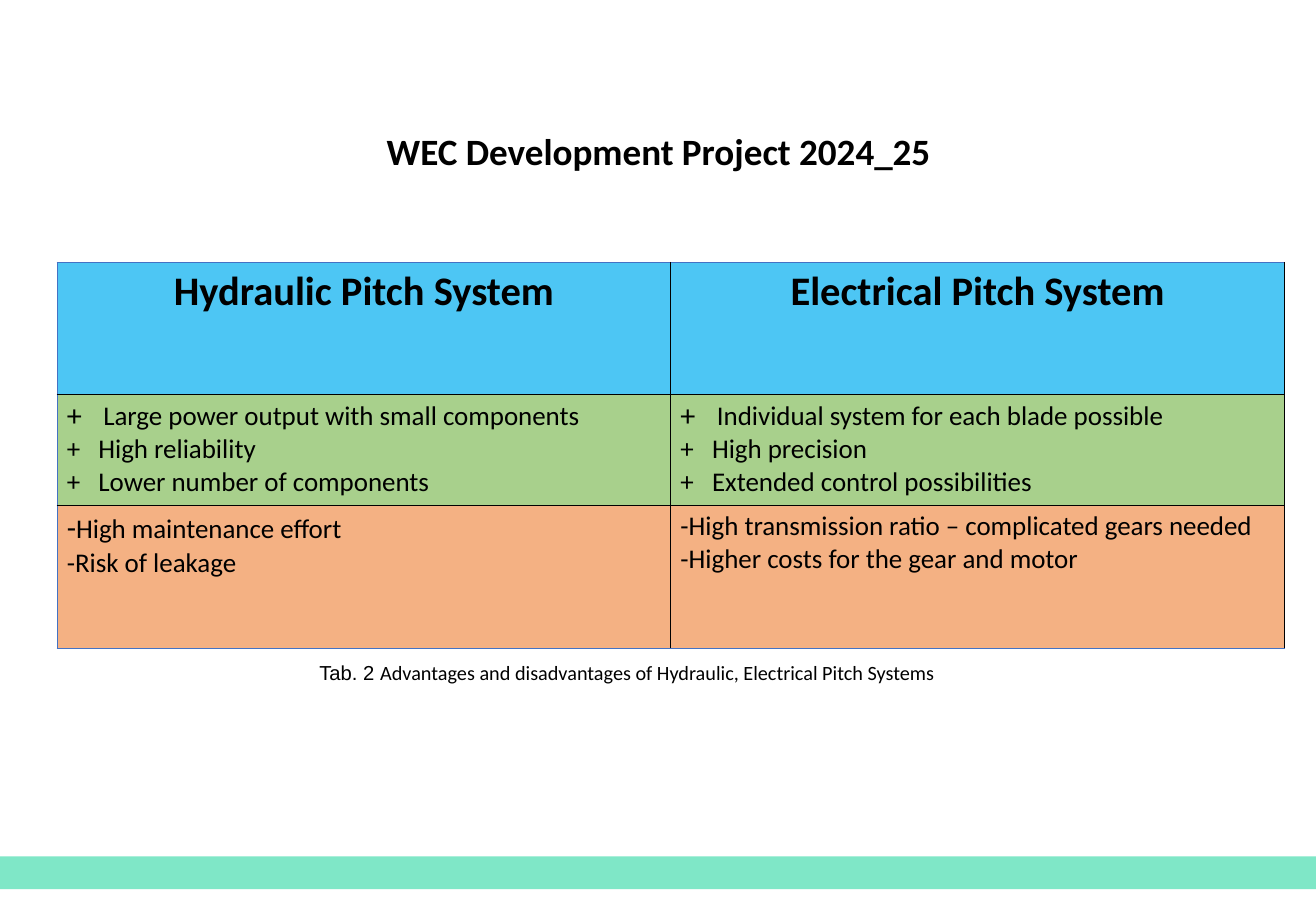
import pptx
import pptx.util
import pptx.dml.color
import pptx.enum.shapes
import pptx.enum.text
import pptx.oxml
import pptx.oxml.ns

Inches, Pt = pptx.util.Inches, pptx.util.Pt
RGBColor = pptx.dml.color.RGBColor
CENTER = pptx.enum.text.PP_ALIGN.CENTER

BLACK = RGBColor(0x00, 0x00, 0x00)
MINT = RGBColor(0x7F, 0xE7, 0xC7)
SKY = RGBColor(0x4D, 0xC6, 0xF4)
GREEN = RGBColor(0xA8, 0xD0, 0x8C)
ORANGE = RGBColor(0xF4, 0xB1, 0x83)
EDGE_BLUE = RGBColor(0x44, 0x72, 0xC4)


def add_run(paragraph, text, size, bold=False, font="Calibri"):
    run = paragraph.add_run()
    run.text = text
    run.font.name = font
    run.font.size = Pt(size)
    run.font.bold = bold
    run.font.color.rgb = BLACK


def add_xml(parent, position, xml):
    namespace = pptx.oxml.ns.nsdecls("a")
    parent.insert(position, pptx.oxml.parse_xml(xml.replace("NS", namespace, 1)))


presentation = pptx.Presentation()
presentation.slide_width = Inches(10.83)
presentation.slide_height = Inches(7.5)
slide = presentation.slides.add_slide(presentation.slide_layouts[6])

# Title
title = slide.shapes.add_textbox(Inches(2.83), Inches(1.01), Inches(5.18), Inches(0.47))
title.text_frame.word_wrap = True
paragraph = title.text_frame.paragraphs[0]
paragraph.alignment = CENTER
add_run(paragraph, "WEC Development Project 2024_25", 22, bold=True)

# Footer band
band = slide.shapes.add_shape(pptx.enum.shapes.MSO_SHAPE.RECTANGLE, 0, Inches(7.05),
                              presentation.slide_width, Inches(0.27))
band.shadow.inherit = False
band.fill.solid()
band.fill.fore_color.rgb = MINT
band.line.fill.background()

# Comparison table: headings, advantages, disadvantages
ROWS = [
    (1.09, SKY, [["Hydraulic Pitch System"], ["Electrical Pitch System"]]),
    (0.91, GREEN, [
        ["Large power output with small components", "High reliability",
         "Lower number of components"],
        ["Individual system for each blade possible", "High precision",
         "Extended control possibilities"]]),
    (1.18, ORANGE, [
        ["High maintenance effort", "Risk of leakage"],
        ["High transmission ratio – complicated gears needed",
         "Higher costs for the gear and motor"]]),
]
table = slide.shapes.add_table(len(ROWS), 2, Inches(0.47), Inches(2.16),
                               Inches(10.1), Inches(3.18)).table

for row, (height, color, columns) in enumerate(ROWS):
    table.rows[row].height = Inches(height)
    for column, lines in enumerate(columns):
        cell = table.cell(row, column)
        cell.margin_left = cell.margin_right = Inches(0.08)
        cell.margin_top = cell.margin_bottom = Inches(0.04)
        cell.fill.solid()
        cell.fill.fore_color.rgb = color

        # Left, top and bottom outer edges are blue, all other borders black
        blue_sides = {"L": column == 0, "R": False, "T": row == 0, "B": row == 2}
        for position, (side, blue) in enumerate(blue_sides.items()):
            edge_color, width = (EDGE_BLUE, 0.6) if blue else (BLACK, 0.8)
            add_xml(cell._tc.get_or_add_tcPr(), position,
                    f'<a:ln{side} NS w="{Pt(width)}"><a:solidFill>'
                    f'<a:srgbClr val="{edge_color}"/></a:solidFill></a:ln{side}>')

        for index, line in enumerate(lines):
            frame = cell.text_frame
            paragraph = frame.paragraphs[0] if index == 0 else frame.add_paragraph()
            if row == 0:
                paragraph.alignment = CENTER
                add_run(paragraph, line, 24, bold=True)
            elif row == 1:
                # Plus signs as bullets, the first one larger
                indent, percent = (0.3, 112) if index == 0 else (0.26, 100)
                properties = paragraph._p.get_or_add_pPr()
                properties.set("marL", str(Inches(indent)))
                properties.set("indent", str(-Inches(indent)))
                add_xml(properties, 0, f'<a:buSzPct NS val="{percent * 1000}"/>')
                add_xml(properties, 1, '<a:buFont NS typeface="Calibri"/>')
                add_xml(properties, 2, '<a:buChar NS char="+"/>')
                add_run(paragraph, line, 16)
            else:
                add_run(paragraph, "-", 18 if (column, index) == (0, 0) else 16)
                add_run(paragraph, line, 16)

# Caption
caption = slide.shapes.add_textbox(Inches(2.53), Inches(5.34), Inches(6.34), Inches(0.94))
frame = caption.text_frame
frame.word_wrap = True
frame.margin_left = frame.margin_right = Inches(0.1)
frame.margin_top = frame.margin_bottom = Inches(0.1)
add_run(frame.paragraphs[0], "Tab. 2 ", 12, font="Arial")
add_run(frame.paragraphs[0],
        "Advantages and disadvantages of Hydraulic, Electrical Pitch Systems", 12)

presentation.save("out.pptx")
